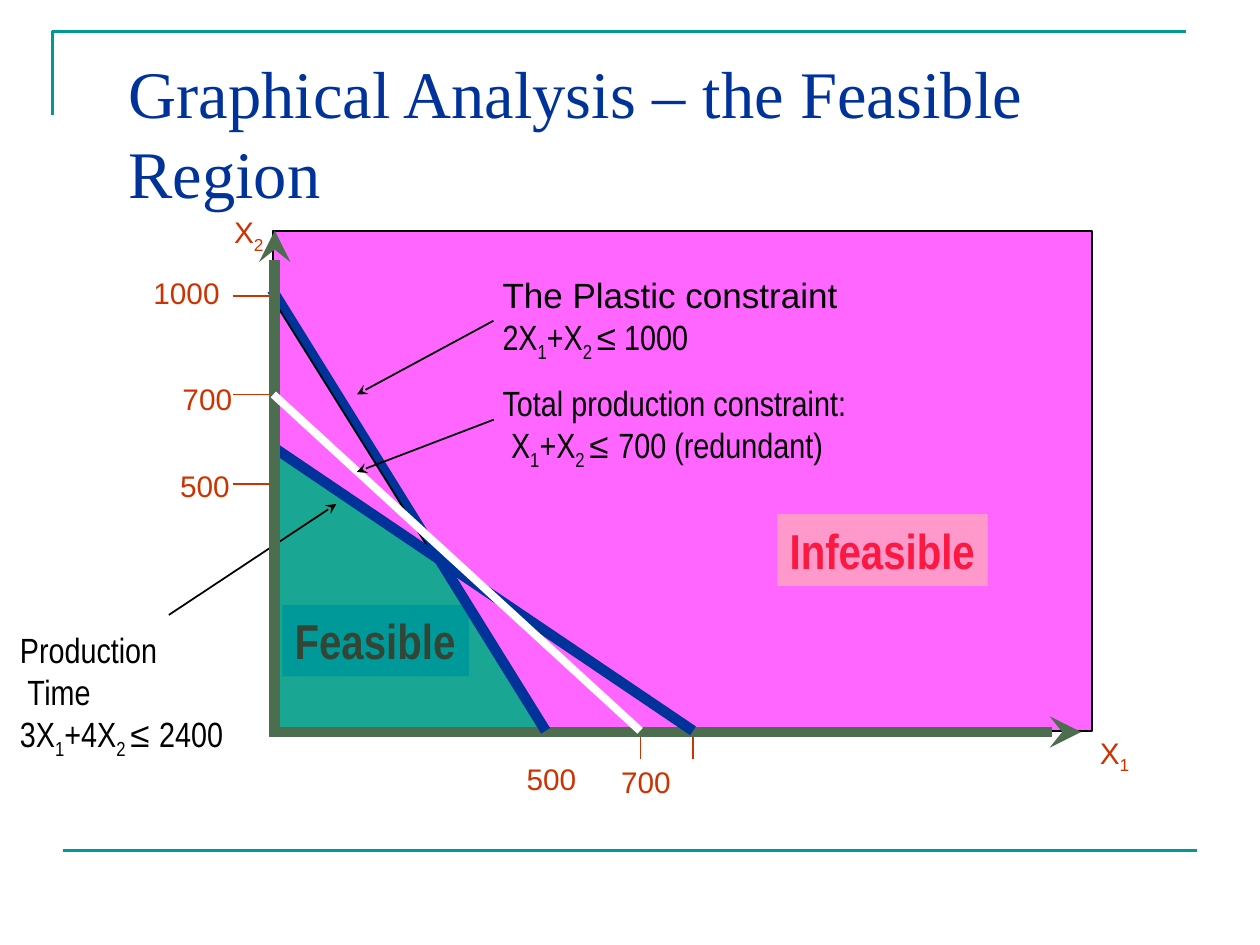
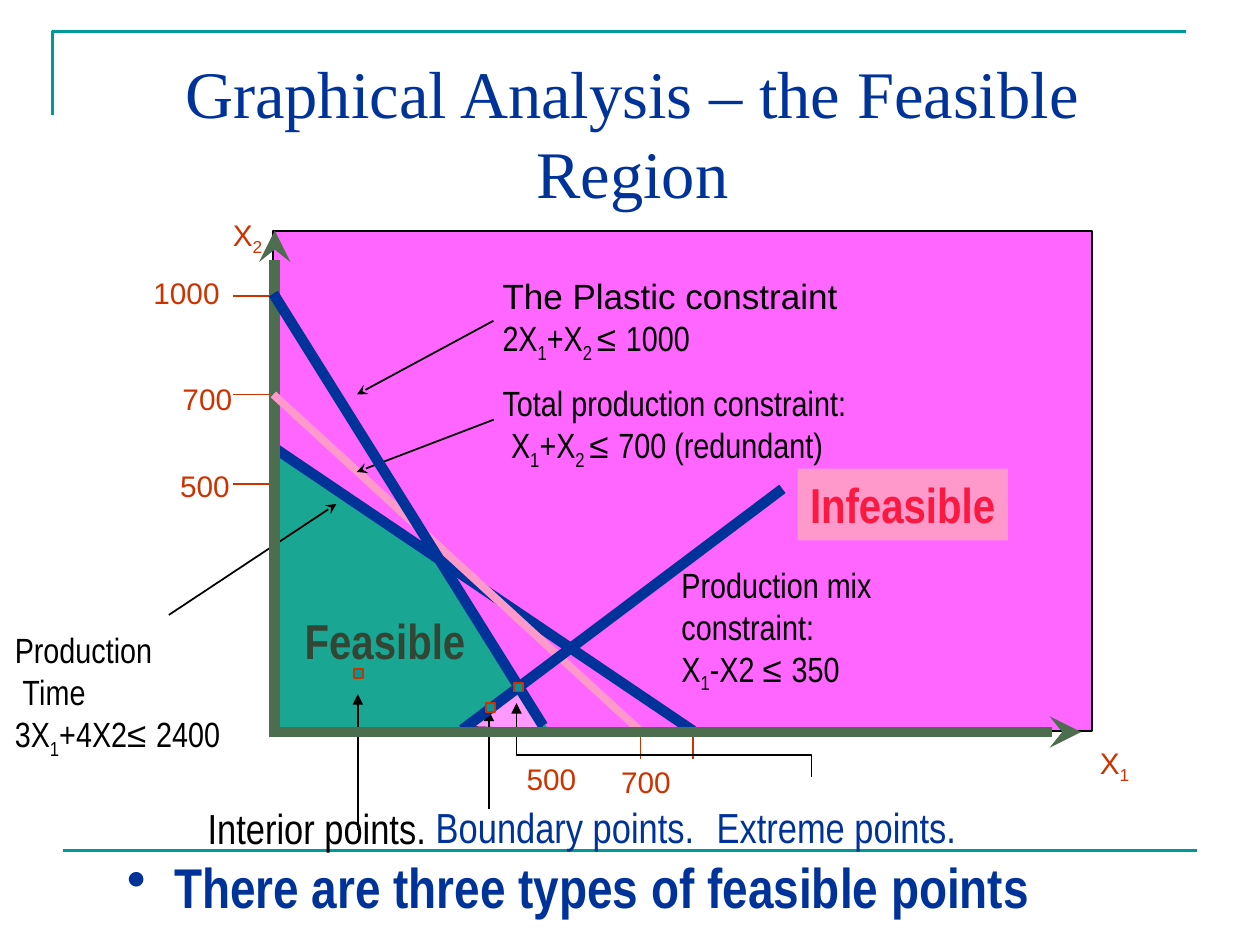
import pptx
import pptx.dml.color
import pptx.enum.shapes
import pptx.enum.text
import pptx.oxml.ns
import pptx.util
from lxml import etree

Pt = pptx.util.Pt
RGB = pptx.dml.color.RGBColor
SHAPE = pptx.enum.shapes.MSO_SHAPE
ALIGN = pptx.enum.text.PP_ALIGN
qn = pptx.oxml.ns.qn

TEAL = RGB(0x00, 0x99, 0x99)
NAVY = RGB(0x00, 0x33, 0x99)
RUST = RGB(0xCC, 0x33, 0x00)
BLACK = RGB(0x00, 0x00, 0x00)
WHITE = RGB(0xFF, 0xFF, 0xFF)
MAGENTA = RGB(0xFF, 0x66, 0xFF)
ORCHID = RGB(0xFF, 0x99, 0xFF)
PINK = RGB(0xFF, 0x99, 0xCC)
RED = RGB(0xFA, 0x19, 0x41)
SEA = RGB(0x19, 0xA7, 0x93)
AXIS = RGB(0x4C, 0x6D, 0x4E)
MOSS = RGB(0x33, 0x46, 0x35)

# Text styles: font attributes plus colour
TITLE = ({"name": "Times New Roman", "size": Pt(38)}, NAVY)
TICK = ({"name": "Arial", "size": Pt(17)}, RUST)
NOTE = ({"name": "Arial Narrow", "size": Pt(20)}, BLACK)
INTERIOR = ({"name": "Arial Narrow", "size": Pt(24)}, BLACK)
POINT = ({"name": "Arial Narrow", "size": Pt(24)}, NAVY)
FEASIBLE = ({"name": "Arial Narrow", "size": Pt(28), "bold": True}, MOSS)
INFEASIBLE = ({"name": "Arial Narrow", "size": Pt(28), "bold": True}, RED)
BULLET = ({"name": "Arial Narrow", "size": Pt(32), "bold": True}, NAVY)


def pts(*values):
    return [Pt(v) for v in values]


def set_font(font, style):
    values, color = style
    for name, value in values.items():
        setattr(font, name, value)
    font.color.rgb = color


def add_runs(p, markup, style):
    """Runs are split by |; _ starts a subscript, ≤ or @ a run in Arial."""
    for piece in markup.split("|"):
        if piece == "\n":
            p.add_line_break()
            continue
        r = p.add_run()
        r.text = piece.lstrip("_@")
        set_font(r.font, style)
        if piece[0] == "_":
            r._r.get_or_add_rPr().set("baseline", "-25000")
        elif piece[0] in "≤@":
            r.font.name = "Arial"


def add_text(s, box, lines, style, fill=None, indent=0, wrap=False):
    sp = s.shapes.add_textbox(*pts(*box))
    if fill is not None:
        sp.fill.solid()
        sp.fill.fore_color.rgb = fill
    tf = sp.text_frame
    tf.word_wrap = wrap
    if not wrap:
        tf.auto_size = pptx.enum.text.MSO_AUTO_SIZE.SHAPE_TO_FIT_TEXT
    for i, markup in enumerate(lines):
        p = tf.add_paragraph() if i else tf.paragraphs[0]
        if indent:
            p._p.get_or_add_pPr().set("marL", str(Pt(indent)))
        add_runs(p, markup, style)
    return sp


def add_bullet(p, color, hang):
    pPr = p._p.get_or_add_pPr()
    pPr.set("marL", str(Pt(hang)))
    pPr.set("indent", str(-Pt(hang)))
    clr = etree.SubElement(pPr, qn("a:buClr"))
    etree.SubElement(clr, qn("a:srgbClr")).set("val", str(color))
    etree.SubElement(pPr, qn("a:buChar")).set("char", "•")


def paint(sp, fill=None, color=None, width=1):
    sp.shadow.inherit = False
    if fill is None:
        sp.fill.background()
    else:
        sp.fill.solid()
        sp.fill.fore_color.rgb = fill
    if color is None:
        sp.line.fill.background()
    else:
        sp.line.color.rgb = color
        sp.line.width = Pt(width)


def add_arrowhead(sp, end, kind):
    ln = sp._element.spPr.find(qn("a:ln"))
    etree.SubElement(ln, qn("a:" + end)).set("type", kind)


def add_line(s, ends, color, width=1, head=None, tail=None):
    kind = pptx.enum.shapes.MSO_CONNECTOR.STRAIGHT
    sp = s.shapes.add_connector(kind, *pts(*ends))
    sp.line.color.rgb = color
    sp.line.width = Pt(width)
    if head:
        add_arrowhead(sp, "headEnd", head)
    if tail:
        add_arrowhead(sp, "tailEnd", tail)
    etree.SubElement(sp._element.spPr, qn("a:effectLst"))


def add_box(s, kind, box, fill, color=None):
    paint(s.shapes.add_shape(kind, *pts(*box)), fill, color)


def add_outline(s, points, color, width=1, fill=None):
    start, *rest = [pts(*pt) for pt in points]
    builder = s.shapes.build_freeform(*start)
    builder.add_line_segments(rest, close=fill is not None)
    sp = builder.convert_to_shape()
    paint(sp, fill, color, width)
    return sp


def add_slide(prs, title_box, align):
    s = prs.slides.add_slide(prs.slide_layouts[5])
    # Frame
    add_outline(s, [(30, 66), (30, 18), (678, 18)], TEAL, 1.5)
    add_line(s, (36, 486, 684, 486), TEAL, 1.5)
    # Title
    sp = s.shapes.title
    sp.left, sp.top, sp.width, sp.height = pts(*title_box)
    tf = sp.text_frame
    tf.vertical_anchor = pptx.enum.text.MSO_ANCHOR.MIDDLE
    tf.word_wrap = True
    p = tf.paragraphs[0]
    p.alignment = align
    add_runs(p, "Graphical Analysis – the Feasible Region", TITLE)
    return s


def add_plot_area(s):
    add_box(s, SHAPE.RECTANGLE, (156.2, 132, 468, 285.8), MAGENTA, BLACK)
    for y in (169.2, 225.4, 276.5):
        add_line(s, (133, y, 155.5, y), RUST)
    for x in (366, 396):
        add_line(s, (x, 417, x, 433.5), RUST)
    for left, top, width, label in ((80.6, 153.4, 52.6, "1000"),
                                    (97.2, 213.8, 43.2, "700"),
                                    (95.8, 263.5, 43.2, "500"),
                                    (293.8, 431.3, 43.2, "500"),
                                    (347.8, 432.7, 43.2, "700")):
        add_text(s, (left, top, width, 27.4), [label], TICK)
    add_box(s, SHAPE.RIGHT_TRIANGLE, (157.7, 171.4, 156.2, 246.2), SEA)


def add_axis_names(s, x2_at, x1_at):
    for at, name in ((x2_at, "X|_2"), (x1_at, "X|_1")):
        add_text(s, (*at, 31.7, 30.2), [name], TICK)


def add_regions(s, feasible_left, feasible_fill, infeasible_at):
    add_text(s, (feasible_left, 345.6, 106.6, 41), ["Feasible"], FEASIBLE,
             feasible_fill)
    add_text(s, (*infeasible_at, 120.2, 41), ["Infeasible"], INFEASIBLE, PINK)


def add_constraint_notes(s, plastic_top, plastic, time_box, time):
    add_text(s, time_box, ["Production |\n| Time", time], NOTE)
    add_line(s, (96.5, 351.4, 192.2, 288), BLACK, tail="stealth")
    add_text(s, (275.8, 214.6, 217.4, 58.3),
             [" Total production constraint:",
              "  X|_1|+X|_2 |≤ |700 (redundant)"], NOTE)
    add_text(s, (280.1, plastic_top, 205.9, 58.3),
             ["@The Plastic constraint", plastic], NOTE)
    add_line(s, (204, 225.4, 282, 183.3), BLACK, head="stealth")


def add_x_axis(s):
    add_line(s, (154, 418.3, 617.8, 418.3), AXIS, 6, tail="stealth")


def add_constraint_lines(s, wedge_left, total_color):
    # The cut-off corner between the plastic and production time lines
    add_outline(s, [(wedge_left, 171.4), (wedge_left + 90, 315.4),
                    (wedge_left, 255.6)], BLACK, fill=MAGENTA)
    add_line(s, (156.2, 255.6, 396, 417.6), NAVY, 6)
    add_line(s, (157, 131.8, 157, 416.2), AXIS, 6, head="stealth")
    add_line(s, (156.2, 225.4, 365.8, 417.6), total_color, 4.5)
    add_line(s, (203.9, 269.7, 282.2, 239.8), BLACK, head="stealth")


def add_feasible_region(prs):
    s = add_slide(prs, (66.2, 30.2, 617.8, 90), ALIGN.LEFT)
    add_plot_area(s)
    add_regions(s, 161.3, TEAL, (444.2, 293.8))
    add_axis_names(s, (126.7, 118.8), (621.4, 416.2))
    add_x_axis(s)
    add_constraint_notes(s, 152.6, "2X|_1|+X|_2 |≤| 1000",
                         (4.3, 355.7, 132.5, 82.8),
                         "3X|_1|+4X|_2 |≤ |2400")
    add_line(s, (155.5, 165.6, 311.8, 417.6), NAVY, 6)
    add_constraint_lines(s, 156.2, WHITE)


def add_feasible_points(prs):
    s = add_slide(prs, (55.4, 30.2, 612, 90), ALIGN.CENTER)
    add_plot_area(s)
    add_regions(s, 167, None, (455.8, 267.8))
    add_axis_names(s, (126, 120.2), (621.4, 421.9))
    add_constraint_notes(s, 153.4, "2X|_1|+X|_2 |≤ |1000",
                         (1.4, 355.7, 141.1, 82.8), "3X|_1|+4X2|≤ |2400")
    add_text(s, (382.3, 318.2, 128.2, 82.8),
             ["Production mix |\n|constraint:", "X|_1|-X2 |≤ |350"], NOTE)
    add_constraint_lines(s, 157.7, PINK)
    add_outline(s, [(265.7, 415.4), (298.8, 393.1), (310.3, 416.9)], BLACK,
                fill=ORCHID)

    # Kinds of feasible point
    sp = add_text(s, (65.5, 483.8, 612, 41.8),
                  ["There are three types of feasible points"], BULLET,
                  wrap=True)
    add_bullet(sp.text_frame.paragraphs[0], NAVY, 27)
    add_text(s, (75.6, 455, 175, 36), ["Interior points."], INTERIOR, indent=36)
    add_text(s, (205.9, 454.3, 198, 36), ["Boundary points."], POINT, indent=36)
    add_text(s, (402.5, 454.3, 151.2, 36), ["Extreme points."], POINT)
    for x, start, end in ((204.5, 474.5, 396.7), (279.4, 462.2, 406.1)):
        add_line(s, (x, start, x, end), BLACK, tail="triangle")
    sp = add_outline(s, [(463.7, 444.2), (463.7, 431.3), (295.2, 431.3),
                         (295.2, 401.8)], BLACK)
    add_arrowhead(sp, "tailEnd", "triangle")

    # Mix and plastic lines, then the axis and the marked points on top
    add_line(s, (264.2, 416.9, 447.1, 279.4), NAVY, 6)
    add_line(s, (156.2, 167.8, 310.3, 414.7), NAVY, 6)
    add_x_axis(s)
    for x, y in ((202.3, 382.3), (277.9, 401.8), (293.8, 390.2)):
        add_box(s, SHAPE.RECTANGLE, (x, y, 5, 5), TEAL, RUST)


def main():
    prs = pptx.Presentation()
    prs.slide_width, prs.slide_height = pts(720, 540)
    add_feasible_region(prs)
    add_feasible_points(prs)
    prs.save("out.pptx")


if __name__ == "__main__":
    main()
